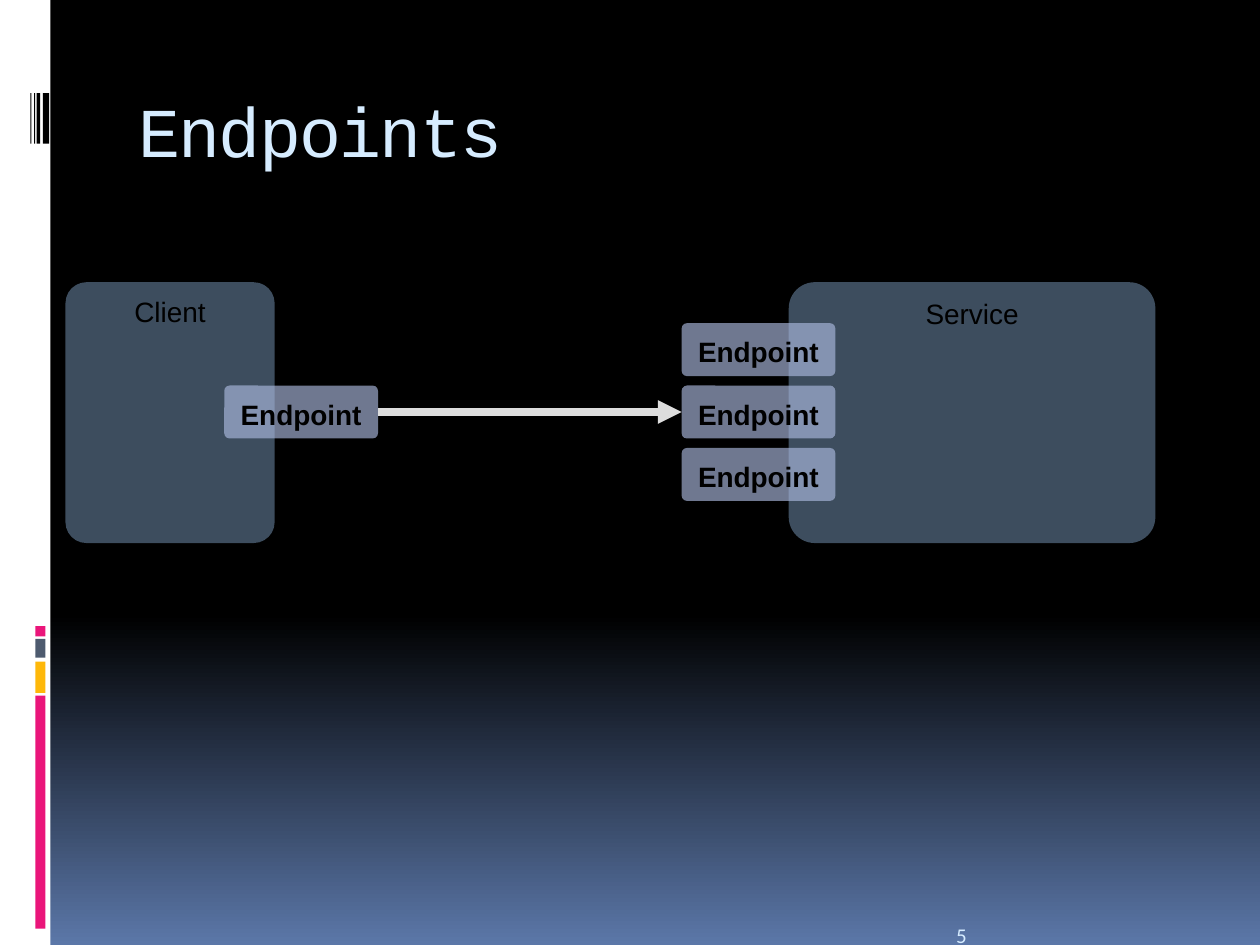
from copy import deepcopy
from dataclasses import dataclass

from pptx import Presentation
from pptx import util as u
from pptx.dml.color import RGBColor
from pptx.enum import shapes, text
from pptx.oxml.ns import qn
from pptx.oxml.xmlchemy import OxmlElement


@dataclass(frozen=True)
class Theme:
    night: str = "000000"
    dusk: str = "5B77A8"
    rail: str = "FFFFFF"
    pink: str = "EA157A"
    amber: str = "FEB80A"
    slate: str = "4E5B6F"
    pale: str = "D6ECFF"
    arrow: str = "DDDDDD"
    host: str = "5F7791"
    endpoint: str = "ABB9DE"
    title_font: str = "Courier New"
    label_font: str = "Arial"
    number_font: str = "Calibri"
    title_size: int = 40
    label_size: int = 16
    number_size: int = 12


@dataclass(frozen=True)
class Box:
    """An area on a grid of 100 columns by 75 rows."""
    left: float
    top: float
    width: float
    height: float

    def inner(self, left, top, width, height):
        return Box(self.left + left, self.top + top, width, height)

    def lengths(self):
        cell = u.Inches(0.1)
        return [round(n * cell) for n in (self.left, self.top, self.width, self.height)]


THEME = Theme()
PAGE = Box(0, 0, 100, 75)


def add_block(page, box, color, kind=shapes.MSO_SHAPE.RECTANGLE, opacity=None):
    block = page.shapes.add_shape(kind, *box.lengths())
    block.shadow.inherit = False
    block.line.fill.background()
    block.fill.solid()
    block.fill.fore_color.rgb = RGBColor.from_string(color)
    if opacity:
        alpha = OxmlElement("a:alpha")
        alpha.set("val", str(opacity * 1000))
        block.element.spPr.find(".//" + qn("a:srgbClr")).append(alpha)
    return block


def write(shape, words, font, size, color, anchor, align, bold=False, wrap=True):
    frame = shape.text_frame
    frame.word_wrap = wrap
    frame.vertical_anchor = anchor
    para = frame.paragraphs[0]
    para.alignment = align
    span = para.add_run()
    span.text = words
    span.font.name = font
    span.font.size = u.Pt(size)
    span.font.bold = bold
    span.font.color.rgb = RGBColor.from_string(color)
    return span


def add_background(page):
    fill = page.background.fill
    fill.gradient()
    fill.gradient_angle = 270
    stop_list = page.element.find(".//" + qn("a:gsLst"))
    stop_list.insert(0, deepcopy(stop_list[0]))
    colors = (THEME.night, THEME.night, THEME.dusk)
    for stop, color, position in zip(fill.gradient_stops, colors, (0, 0.65, 1)):
        stop.color.rgb = RGBColor.from_string(color)
        stop.position = position


def add_rail(page, box):
    add_block(page, box, THEME.rail)
    # Coloured bars near the foot
    bars = ((55.2, 18.5, THEME.pink), (52.5, 2.5, THEME.amber),
            (50.7, 1.5, THEME.slate), (49.7, 0.8, THEME.pink))
    for top, height, color in bars:
        add_block(page, box.inner(2.8, top, 0.8, height), color)
    # Thin black stripes beside the title
    for left, width in ((3.4, 0.5), (2.9, 0.3), (2.7, 0.1), (2.4, 0.1)):
        add_block(page, box.inner(left, 7.4, width, 4), THEME.night)


def add_title(page, box):
    title = page.shapes.add_textbox(*box.lengths())
    title.text_frame.margin_bottom = u.Inches(0.12)
    span = write(title, "Endpoints", THEME.title_font, THEME.title_size, THEME.pale,
                 text.MSO_ANCHOR.MIDDLE, text.PP_ALIGN.LEFT)
    span.font._element.set("spc", "-100")


def add_page_number(page, box):
    number = page.shapes.add_textbox(*box.lengths())
    write(number, "5", THEME.number_font, THEME.number_size, THEME.pale,
          text.MSO_ANCHOR.BOTTOM, text.PP_ALIGN.LEFT)


def add_label_block(page, box, words, color, anchor, bold=False):
    block = add_block(page, box, color, shapes.MSO_SHAPE.ROUNDED_RECTANGLE, opacity=65)
    block.adjustments[0] = 0.1
    write(block, words, THEME.label_font, THEME.label_size, THEME.night,
          anchor, text.PP_ALIGN.CENTER, bold, wrap=False)
    return block


def add_host(page, box, name, endpoint_left, endpoint_tops):
    """A host with its endpoints straddling one edge."""
    add_label_block(page, box, name, THEME.host, text.MSO_ANCHOR.TOP)
    return [add_label_block(page, box.inner(endpoint_left, top, 12.2, 4.2), "Endpoint",
                            THEME.endpoint, text.MSO_ANCHOR.BOTTOM, bold=True)
            for top in endpoint_tops]


def add_arrow(page, source, target):
    right_site, left_site = 3, 1
    arrow = page.shapes.add_connector(shapes.MSO_CONNECTOR.STRAIGHT, 0, 0, 0, 0)
    arrow.begin_connect(source, right_site)
    arrow.end_connect(target, left_site)
    arrow.line.width = u.Pt(4.5)
    arrow.line.color.rgb = RGBColor.from_string(THEME.arrow)
    head = OxmlElement("a:tailEnd")
    head.set("type", "triangle")
    arrow.line._get_or_add_ln().append(head)
    arrow.element.spPr.append(OxmlElement("a:effectLst"))


def add_diagram(page, box):
    middle, step = 8.2, 4.95
    client = add_host(page, box.inner(0, 0, 16.6, box.height), "Client", 12.6, [middle])
    service = add_host(page, box.inner(57.4, 0, 29.1, box.height), "Service", -8.5,
                       [middle + step * i for i in (-1, 0, 1)])
    add_arrow(page, client[0], service[1])


def main():
    deck = Presentation()
    deck.slide_width, deck.slide_height = PAGE.lengths()[2:]
    page = deck.slides.add_slide(deck.slide_layouts[6])
    add_background(page)
    add_rail(page, PAGE.inner(0, 0, 4, PAGE.height))
    add_title(page, PAGE.inner(10, 5.6, 85, 10))
    add_page_number(page, PAGE.inner(74.9, 70.5, 23.3, 5.2))
    add_diagram(page, PAGE.inner(5.2, 22.4, 86.5, 20.7))
    deck.save("out.pptx")


if __name__ == "__main__":
    main()
